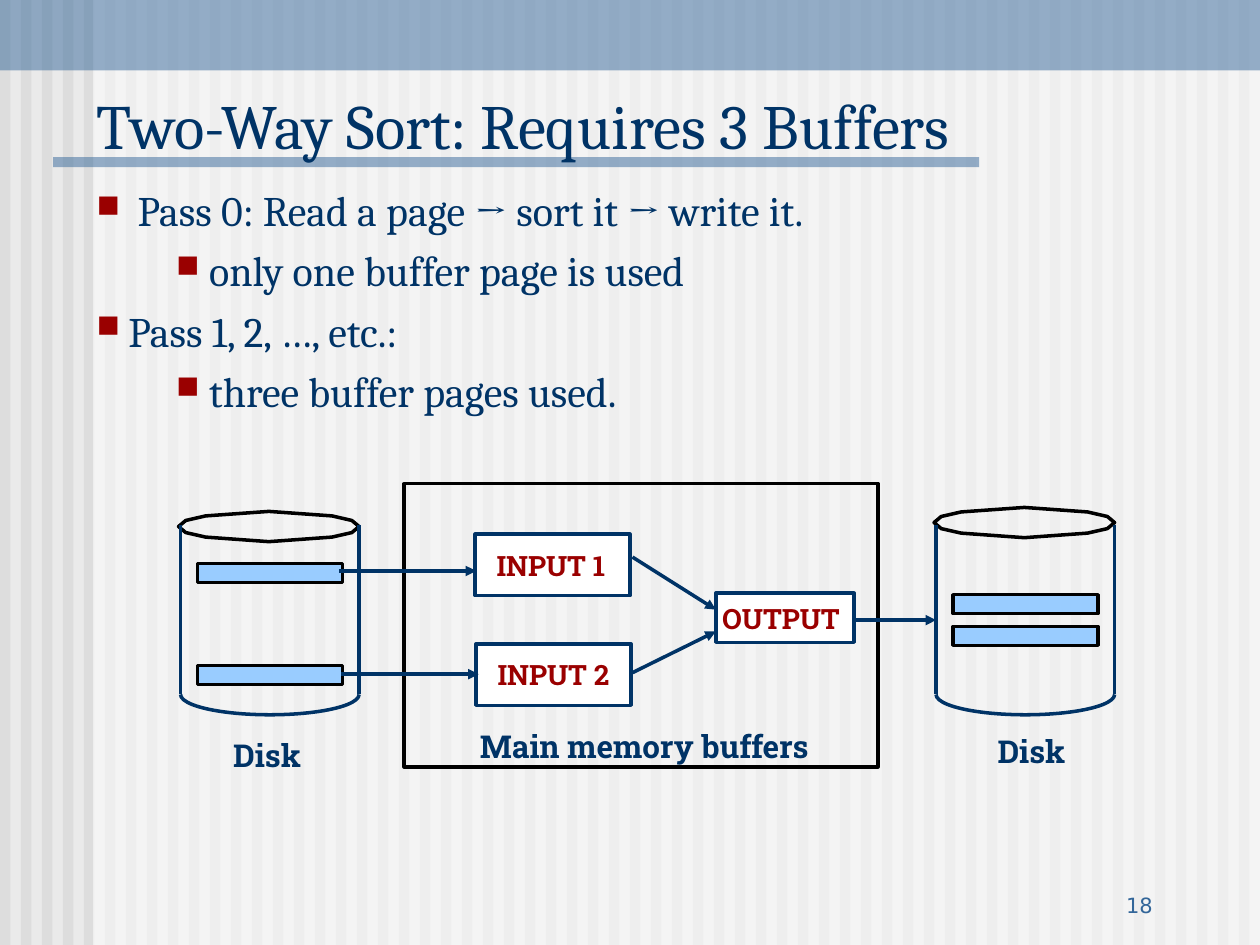
from lxml.etree import SubElement
from pptx import Presentation
from pptx.dml.color import RGBColor
from pptx.enum.shapes import MSO_CONNECTOR as CONN, MSO_SHAPE as SHAPE
from pptx.enum.text import MSO_ANCHOR as ANCHOR, MSO_AUTO_SIZE as AUTO, PP_ALIGN as ALIGN
from pptx.oxml.ns import qn
from pptx.util import Cm, Pt

WIDTH, HEIGHT = 25.4, 19.05
NAVY, RED, BLACK, BLUE = "003366", "9A0000", "000000", "336699"
NO_INSETS = dict(margin_left=0, margin_right=0, margin_top=0, margin_bottom=0)
BODY_FONT = dict(name="Cambria", size=Pt(24))
LABEL_FONT = dict(name="Roboto Slab", size=Pt(18), bold=True)
BUFFER_FONT = dict(name="Roboto Slab", size=Pt(16), bold=True)


def color(fmt, hex_code):
    fmt.rgb = RGBColor.from_string(hex_code)


def apply(obj, values):
    for name, value in values.items():
        setattr(obj, name, value)


def paint(sp, fill=None, line=None, alpha=None):
    sp.shadow.inherit = False
    if fill:
        sp.fill.solid()
        color(sp.fill.fore_color, fill)
        if alpha:
            clr = sp.fill._xPr.find(qn("a:solidFill"))[0]
            SubElement(clr, qn("a:alpha"), val=str(alpha * 1000))
    else:
        sp.fill.background()
    if line:
        color(sp.line.color, line)
        sp.line.width = Pt(2)
    else:
        sp.line.fill.background()


def add_rect(s, box, **look):
    sp = s.shapes.add_shape(SHAPE.RECTANGLE, *map(Cm, box))
    paint(sp, **look)
    return sp


def add_line(s, start, end, arrow=False):
    cn = s.shapes.add_connector(CONN.STRAIGHT, *map(Cm, (*start, *end)))
    color(cn.line.color, NAVY)
    cn.line.width = Pt(2)
    if arrow:
        SubElement(cn.line._get_or_add_ln(), qn("a:tailEnd"), type="triangle")
    SubElement(cn._element.spPr, qn("a:effectLst"))


def write(p, text, font, hex_code, align=ALIGN.LEFT):
    p.alignment = align
    r = p.add_run()
    r.text = text
    apply(r.font, font)
    color(r.font.color, hex_code)


def add_text(s, box, text, font, hex_code, align=ALIGN.LEFT, **frame):
    tf = s.shapes.add_textbox(*map(Cm, box)).text_frame
    apply(tf, dict(word_wrap=True, **frame))
    write(tf.paragraphs[0], text, font, hex_code, align)


def add_backdrop(s):
    bg = s.background.fill
    bg.solid()
    color(bg.fore_color, "EAEAEA")
    pitch = WIDTH / 60
    for i in range(60):
        add_rect(s, (i * pitch, 0, 0.21, HEIGHT), fill="DDDDDD")
    add_rect(s, (1.88, 0, WIDTH - 1.88, HEIGHT), fill="FFFFFF", alpha=50)
    add_rect(s, (0, 0, WIDTH, 1.42), fill=BLUE, alpha=50)
    add_rect(s, (1.07, 3.17, 18.67, 0.2), fill=BLUE, alpha=50)


def add_title(s, box, text):
    sp = s.shapes.title
    apply(sp, dict(zip(("left", "top", "width", "height"), map(Cm, box))))
    tf = sp.text_frame
    apply(tf, dict(vertical_anchor=ANCHOR.BOTTOM, auto_size=AUTO.NONE))
    write(tf.paragraphs[0], text, dict(name="Cambria", size=Pt(36)), NAVY)
    s.shapes._spTree.append(sp._element)


def add_bullets(s, box, items):
    tf = s.shapes.add_textbox(*map(Cm, box)).text_frame
    tf.word_wrap = True
    indents = [(0.64, -0.64), (2.08, -0.48)]
    for i, (level, text) in enumerate(items):
        p = tf.add_paragraph() if i else tf.paragraphs[0]
        apply(p, dict(level=level, space_before=Pt(5.6)))
        write(p, text, BODY_FONT, NAVY)
        ppr = p._p.get_or_add_pPr()
        for name, length in zip(("marL", "indent"), indents[level]):
            ppr.set(name, str(Cm(length)))
        clr = SubElement(ppr, qn("a:buClr"))
        SubElement(clr, qn("a:srgbClr"), val=RED)
        SubElement(ppr, qn("a:buSzPct"), val="75000")
        SubElement(ppr, qn("a:buChar"), char="■")


def add_lid(s, x, y, w, h):
    quarter = [(1, 0), (0.92, 0.4), (0.7, 0.7), (0, 1)]
    half = quarter + [(-u, v) for u, v in quarter[-2::-1]]
    ring = [(u, -v) for u, v in half] + half[-2:0:-1]
    points = [(Cm(x + w / 2 * (1 + u)), Cm(y + h / 2 * (1 + v))) for u, v in ring]
    fb = s.shapes.build_freeform(*points[0])
    fb.add_line_segments(points[1:], close=True)
    paint(fb.convert_to_shape(), line=BLACK)


def add_disk(s, x, top, lid_y, page_ys, label_x):
    w, shoulder, base = 3.64, top + 0.84, top + 4.25
    add_lid(s, x, top + lid_y, w, 0.61)
    for side in (x + 0.04, x + w):
        add_line(s, (side, shoulder), (side, base))
    arc = s.shapes.add_shape(SHAPE.ARC, *map(Cm, (x + 0.04, base - 0.41, w - 0.04, 0.82)))
    arc.adjustments[0], arc.adjustments[1] = 0, 108
    paint(arc, line=NAVY)
    for page_y in page_ys:
        add_rect(s, (x + 0.38, top + page_y, 2.93, 0.38), fill="99CCFF", line=BLACK)
    add_text(s, (x + label_x, top + lid_y + 4.4, 1.98, 1.02), "Disk", LABEL_FONT, NAVY)


def add_buffer(s, box, text, inset):
    tf = add_rect(s, box, fill="FFFFFF", line=NAVY).text_frame
    apply(tf, {**NO_INSETS, "margin_left": Cm(inset), "word_wrap": False,
               "vertical_anchor": ANCHOR.MIDDLE})
    write(tf.paragraphs[0], text, BUFFER_FONT, RED)


def add_diagram(s, x, y):
    add_disk(s, x, y, 0.56, (1.61, 3.67), 0.85)
    add_disk(s, x + 15.23, y, 0.48, (2.24, 2.88), 1.03)
    add_rect(s, (x + 4.55, y, 9.55, 5.71), line=BLACK)
    add_text(s, (x + 5.62, y + 4.78, 7.54, 1.78), "Main memory buffers",
             LABEL_FONT, NAVY, ALIGN.CENTER)
    add_buffer(s, (x + 5.98, y + 1.02, 3.12, 1.24), "INPUT 1", 0.43)
    add_buffer(s, (x + 6, y + 3.23, 3.12, 1.24), "INPUT 2", 0.43)
    add_buffer(s, (x + 10.83, y + 2.21, 2.79, 0.99), "OUTPUT", 0.13)
    arrows = [
        (3.23, 1.76, 6, 1.76),
        (3.28, 3.84, 6.05, 3.84),
        (9.15, 1.48, 10.83, 2.54),
        (9.15, 3.81, 10.83, 2.98),
        (13.6, 2.75, 15.27, 2.75),
    ]
    for x1, y1, x2, y2 in arrows:
        add_line(s, (x + x1, y + y1), (x + x2, y + y2), arrow=True)


def main():
    prs = Presentation()
    prs.slide_width, prs.slide_height = Cm(WIDTH), Cm(HEIGHT)
    s = prs.slides.add_slide(prs.slide_layouts[5])
    add_backdrop(s)
    add_title(s, (1.7, 1.27, 23.7, 2.12), "Two-Way Sort: Requires 3 Buffers")
    add_bullets(s, (1.7, 3.6, 22.01, 6.14), [
        (0, " Pass 0: Read a page → sort it → write it."),
        (1, " only one buffer page is used"),
        (0, "Pass 1, 2, …, etc.:"),
        (1, " three buffer pages used."),
    ])
    add_diagram(s, 3.6, 9.75)
    add_text(s, (18.2, 17.36, 5.29, 1.27), "18", dict(name="DejaVu Sans", size=Pt(12)),
             BLUE, ALIGN.RIGHT, vertical_anchor=ANCHOR.BOTTOM)
    prs.save("out.pptx")


if __name__ == "__main__":
    main()
